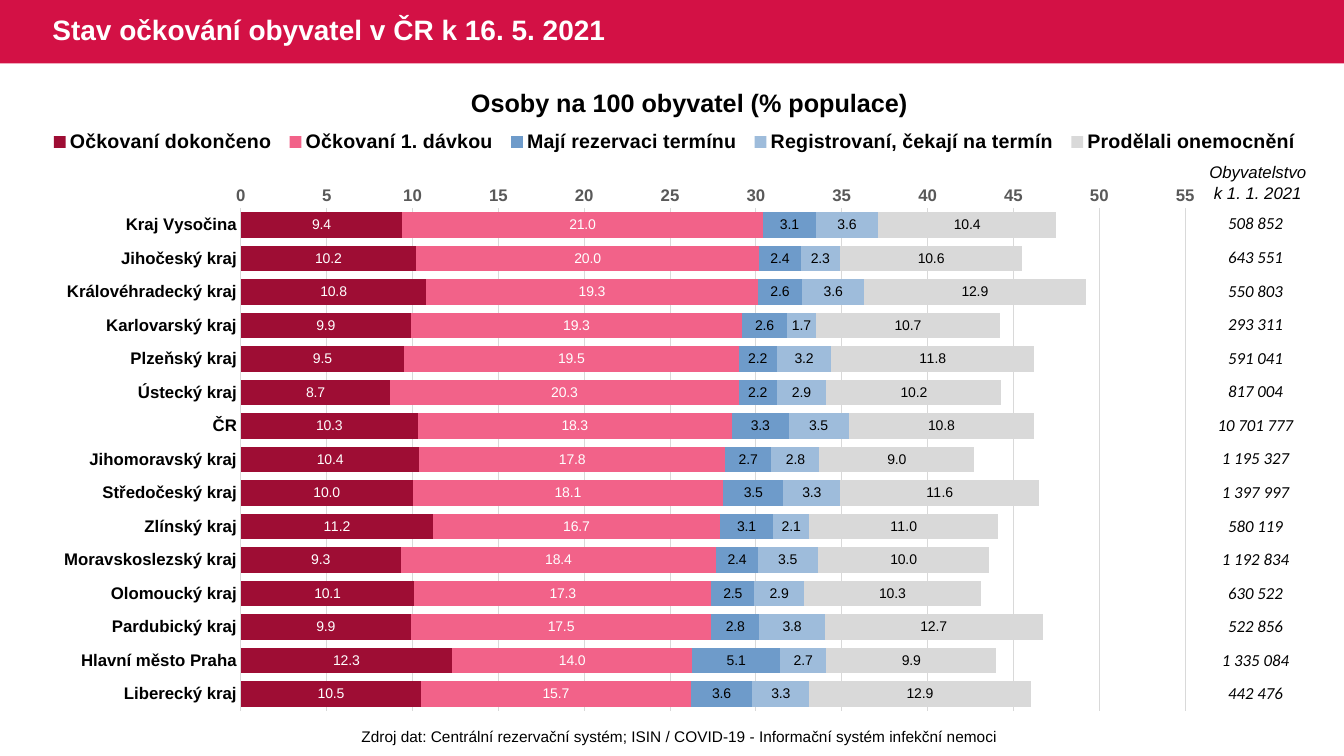
from dataclasses import dataclass

from lxml.etree import SubElement
from pptx import Presentation
from pptx.chart.data import CategoryChartData
from pptx.dml.color import RGBColor
from pptx.enum.chart import (
    XL_CHART_TYPE as ChartType,
    XL_LEGEND_POSITION as LegendPos,
    XL_TICK_MARK as Tick,
)
from pptx.enum.shapes import MSO_SHAPE as Shape
from pptx.enum.text import MSO_ANCHOR as Anchor, PP_ALIGN as Align
from pptx.oxml.ns import qn
from pptx.util import Cm, Pt

COLORS = {
    "banner": "D31145",
    "white": "FFFFFF",
    "black": "000000",
    "axis": "595959",
    "grid": "D9D9D9",
    "done": "9E0D34",
    "first": "F26289",
    "booked": "6E9BCA",
    "waiting": "9EBCDB",
    "recovered": "D9D9D9",
}


@dataclass(frozen=True)
class Region:
    name: str
    shares: tuple[float, ...]
    population: str


@dataclass(frozen=True)
class Group:
    name: str
    fill: str
    label: str


REGIONS = [
    Region("Kraj Vysočina", (9.4, 21.0, 3.1, 3.6, 10.4), "508 852"),
    Region("Jihočeský kraj", (10.2, 20.0, 2.4, 2.3, 10.6), "643 551"),
    Region("Královéhradecký kraj", (10.8, 19.3, 2.6, 3.6, 12.9), "550 803"),
    Region("Karlovarský kraj", (9.9, 19.3, 2.6, 1.7, 10.7), "293 311"),
    Region("Plzeňský kraj", (9.5, 19.5, 2.2, 3.2, 11.8), "591 041"),
    Region("Ústecký kraj", (8.7, 20.3, 2.2, 2.9, 10.2), "817 004"),
    Region("ČR", (10.3, 18.3, 3.3, 3.5, 10.8), "10 701 777"),
    Region("Jihomoravský kraj", (10.4, 17.8, 2.7, 2.8, 9.0), "1 195 327"),
    Region("Středočeský kraj", (10.0, 18.1, 3.5, 3.3, 11.6), "1 397 997"),
    Region("Zlínský kraj", (11.2, 16.7, 3.1, 2.1, 11.0), "580 119"),
    Region("Moravskoslezský kraj", (9.3, 18.4, 2.4, 3.5, 10.0), "1 192 834"),
    Region("Olomoucký kraj", (10.1, 17.3, 2.5, 2.9, 10.3), "630 522"),
    Region("Pardubický kraj", (9.9, 17.5, 2.8, 3.8, 12.7), "522 856"),
    Region("Hlavní město Praha", (12.3, 14.0, 5.1, 2.7, 9.9), "1 335 084"),
    Region("Liberecký kraj", (10.5, 15.7, 3.6, 3.3, 12.9), "442 476"),
]
GROUPS = [
    Group("Očkovaní dokončeno", "done", "white"),
    Group("Očkovaní 1. dávkou", "first", "white"),
    Group("Mají rezervaci termínu", "booked", "black"),
    Group("Registrovaní, čekají na termín", "waiting", "black"),
    Group("Prodělali onemocnění", "recovered", "black"),
]


def rgb(name: str) -> RGBColor:
    return RGBColor.from_string(COLORS[name])


def set_font(font, size: float, color: str = "black", bold: bool = False,
             italic: bool = False, name: str = "Arial") -> None:
    font.name, font.size = name, Pt(size)
    font.bold, font.italic = bold, italic
    font.color.rgb = rgb(color)


def write(tf, text: str, *, align=Align.LEFT, anchor=Anchor.TOP,
          wrap: bool = True, spacing: float = 1.0, **font) -> None:
    tf.word_wrap = wrap
    tf.vertical_anchor = anchor
    for i, line in enumerate(text.split("\n")):
        p = tf.paragraphs[0] if i == 0 else tf.add_paragraph()
        p.alignment, p.line_spacing = align, spacing
        r = p.add_run()
        r.text = line
        set_font(r.font, **font)


def add_text(s, box: tuple[float, ...], text: str, **fmt) -> None:
    write(s.shapes.add_textbox(*map(Cm, box)).text_frame, text, **fmt)


def set_layout(parent, index: int, **fractions: float) -> None:
    """Place a chart part by fractions of the chart area."""
    for old in parent.findall(qn("c:layout")):
        parent.remove(old)
    layout = SubElement(parent, qn("c:layout"))
    parent.insert(index, layout)
    manual = SubElement(layout, qn("c:manualLayout"))
    if parent.tag == qn("c:plotArea"):
        SubElement(manual, qn("c:layoutTarget")).set("val", "inner")
    for mode in ("xMode", "yMode"):
        SubElement(manual, qn(f"c:{mode}")).set("val", "edge")
    for key, value in fractions.items():
        SubElement(manual, qn(f"c:{key}")).set("val", str(value))


def add_shares_chart(s) -> None:
    data = CategoryChartData(number_format="#,##0.0")
    data.categories = [region.name for region in REGIONS]
    for i, group in enumerate(GROUPS):
        data.add_series(group.name, [region.shares[i] for region in REGIONS])
    box = map(Cm, (0.74, 1.96, 32.51, 16.21))
    chart = s.shapes.add_chart(ChartType.BAR_STACKED, *box, data).chart
    chart.has_title = False
    set_font(chart.font, 10)

    # Bars and their labels
    plot = chart.plots[0]
    plot.gap_width, plot.overlap = 30, 100
    plot.vary_by_categories = False
    for group, series in zip(GROUPS, plot.series):
        series.format.fill.solid()
        series.format.fill.fore_color.rgb = rgb(group.fill)
        labels = series.data_labels
        labels.show_value = True
        labels.number_format, labels.number_format_is_linked = "#,##0.0", False
        set_font(labels.font, 10, group.label)

    # Axes
    regions, shares = chart.category_axis, chart.value_axis
    for axis, color in ((regions, "black"), (shares, "axis")):
        axis.major_tick_mark = axis.minor_tick_mark = Tick.NONE
        set_font(axis.tick_labels.font, 12, color, bold=True)
    regions.reverse_order = True
    shares.minimum_scale, shares.maximum_scale, shares.major_unit = 0, 55, 5
    shares.tick_labels.number_format = "0"
    shares.tick_labels.number_format_is_linked = False
    shares.format.line.fill.background()
    shares.has_major_gridlines = True
    for line in (regions.format.line, shares.major_gridlines.format.line):
        line.color.rgb, line.width = rgb("grid"), Pt(0.75)

    # Legend and plot position
    chart.has_legend = True
    chart.legend.position = LegendPos.TOP
    chart.legend.include_in_layout = False
    set_font(chart.legend.font, 14, bold=True)
    area = chart.element.find(qn("c:chart"))
    set_layout(area.find(qn("c:plotArea")), 0, x=0.164, y=0.203, w=0.732, h=0.781)
    set_layout(area.find(qn("c:legend")), 1, x=0.01, y=0.07, w=0.98, h=0.06)


def add_population_table(s) -> None:
    box = map(Cm, (30.28, 5.21, 2.72, 12.7))
    table = s.shapes.add_table(len(REGIONS), 1, *box).table
    table.first_row = table.horz_banding = False
    for i, region in enumerate(REGIONS):
        cell = table.cell(i, 0)
        cell.fill.background()
        cell.margin_left = cell.margin_right = cell.margin_top = Cm(0.03)
        cell.margin_bottom = 0
        cell.vertical_anchor = Anchor.MIDDLE
        p = cell.text_frame.paragraphs[0]
        p.alignment = Align.CENTER
        r = p.add_run()
        r.text = region.population
        set_font(r.font, 12, italic=True, name="Calibri")


def main() -> None:
    prs = Presentation()
    prs.slide_width, prs.slide_height = Cm(33.87), Cm(19.05)
    s = prs.slides.add_slide(prs.slide_layouts[6])

    # Title banner
    banner = s.shapes.add_shape(Shape.RECTANGLE, 0, 0, prs.slide_width, Cm(1.6))
    banner.shadow.inherit = False
    banner.fill.solid()
    banner.fill.fore_color.rgb = rgb("banner")
    banner.line.fill.background()
    add_text(s, (1.07, 0, 18.31, 1.6), "Stav očkování obyvatel v ČR k 16. 5. 2021",
             anchor=Anchor.MIDDLE, spacing=0.9, size=20, color="white", bold=True)

    # Data source
    add_text(s, (8.86, 18.21, 16.61, 0.74),
             "Zdroj dat: Centrální rezervační systém; ISIN / COVID-19 - "
             "Informační systém infekční nemoci", wrap=False, size=11)

    # Chart with its heading
    add_shares_chart(s)
    add_text(s, (5.36, 2.08, 24.03, 1.02), "Osoby na 100 obyvatel (% populace)",
             align=Align.CENTER, size=18, bold=True)

    # Population column
    add_population_table(s)
    add_text(s, (30.15, 3.96, 3.1, 1.27), "Obyvatelstvo\nk 1. 1. 2021",
             align=Align.CENTER, wrap=False, size=12, italic=True)

    prs.save("out.pptx")


if __name__ == "__main__":
    main()
